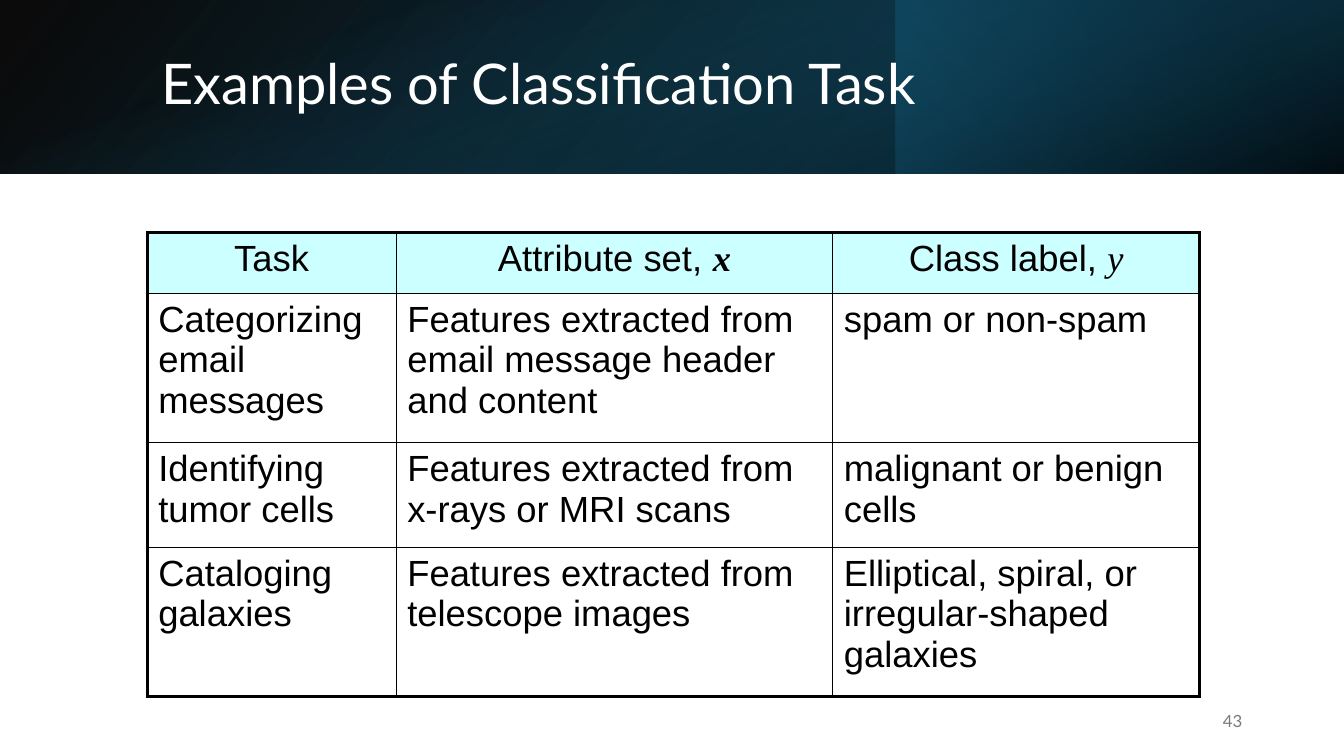
"""Build the slide on examples of classification tasks."""
from lxml import etree
from pptx import Presentation, util as u
from pptx.dml.color import RGBColor
from pptx.enum import shapes, text
from pptx.oxml import ns

WIDE, HIGH = 13.33, 7.5
BAND = 1.72
HUES = {"white": "FFFFFF", "black": "000000", "head": "CCFFFF", "grey": "797979",
        "navy": "104862", "teal": "156082", "deep": "0B3041"}
TITLE = "Examples of Classification Task"
PAGE = "43"
SANS, SERIF = "Arial", "Times New Roman"
HEADS = [
    [("Task", SANS, False, False)],
    [("Attribute set, ", SANS, False, False), ("x", SERIF, True, True)],
    [("Class label, ", SANS, False, False), ("y", SERIF, False, True)],
]
TASKS = [
    ("Categorizing email messages",
     "Features extracted from email message header and content", "spam or non-spam"),
    ("Identifying tumor cells",
     "Features extracted from x-rays or MRI scans", "malignant or benign cells"),
    ("Cataloging galaxies",
     "Features extracted from telescope images",
     "Elliptical, spiral, or irregular-shaped galaxies"),
]
COLS = [2.47, 4.33, 3.64]
ROWS = [0.6, 1.48, 1.04, 1.48]
MID = (WIDE - BAND) / 2
LAYERS = [
    ((0, 0, WIDE, BAND), 0, True, 140, [(0, "black", 96), (100, "navy", 100)]),
    ((WIDE * 2 / 3, 0, WIDE / 3, BAND), 180, False, 320,
     [(19, "deep", 68), (100, "teal", 79)]),
    ((MID, -MID, BAND, WIDE), 90, False, 340, [(23, "teal", 0), (99, "black", 74)]),
]


def tint(hue):
    return RGBColor.from_string(HUES[hue])


def inches(box):
    return [u.Inches(n) for n in box]


def add_run(para, words, face, size, hue, bold=False, slant=False):
    run = para.add_run()
    run.text = words
    font = run.font
    font.name, font.size, font.bold, font.italic = face, u.Pt(size), bold, slant
    font.color.rgb = tint(hue)


def add_layer(slide, box, turn, flip, angle, stops):
    layer = slide.shapes.add_shape(shapes.MSO_SHAPE.RECTANGLE, *inches(box))
    layer.shadow.inherit = False
    layer.line.fill.background()
    layer.rotation = turn
    props = layer._element.spPr
    if flip:
        props.find(ns.qn("a:xfrm")).set("flipH", "1")
    layer.fill.gradient()
    layer.fill.gradient_angle = 360 - angle
    for stop, (place, hue, _) in zip(layer.fill.gradient_stops, stops):
        stop.position = place / 100
        stop.color.rgb = tint(hue)
    for mark, (_, _, solid) in zip(props.iter(ns.qn("a:srgbClr")), stops):
        etree.SubElement(mark, ns.qn("a:alpha")).set("val", str(solid * 1000))


def add_label(slide, box, words, size, hue, align):
    frame = slide.shapes.add_textbox(*inches(box)).text_frame
    frame.word_wrap = True
    frame.vertical_anchor = text.MSO_ANCHOR.MIDDLE
    para = frame.paragraphs[0]
    para.alignment = align
    add_run(para, words, "Lato", size, hue)
    return para


def add_edges(cell, outer):
    props = cell._tc.get_or_add_tcPr()
    for side in "LRTB":
        line = etree.SubElement(props, ns.qn("a:ln" + side))
        line.set("w", str(u.Pt(2.25 if side in outer else 1)))
        fill = etree.SubElement(line, ns.qn("a:solidFill"))
        etree.SubElement(fill, ns.qn("a:srgbClr")).set("val", HUES["black"])


def add_grid(slide):
    box = (1.46, 2.31, sum(COLS), sum(ROWS))
    grid = slide.shapes.add_table(len(ROWS), len(COLS), *inches(box)).table
    grid.first_row = grid.horz_banding = False
    for col, wide in zip(grid.columns, COLS):
        col.width = u.Inches(wide)
    for row, high in zip(grid.rows, ROWS):
        row.height = u.Inches(high)
    body = [[[(words, SANS, False, False)] for words in task] for task in TASKS]
    for r, line in enumerate([HEADS] + body):
        for c, runs in enumerate(line):
            cell = grid.cell(r, c)
            cell.margin_left = cell.margin_right = u.Inches(0.11)
            cell.margin_top = cell.margin_bottom = u.Inches(0.06)
            ends = {"L": c == 0, "R": c == len(COLS) - 1,
                    "T": r == 0, "B": r == len(ROWS) - 1}
            add_edges(cell, [side for side in ends if ends[side]])
            if r == 0:
                cell.fill.solid()
                cell.fill.fore_color.rgb = tint("head")
            else:
                cell.fill.background()
            para = cell.text_frame.paragraphs[0]
            para.alignment = text.PP_ALIGN.LEFT if r else text.PP_ALIGN.CENTER
            para.space_after = u.Pt(4)
            for words, face, bold, slant in runs:
                add_run(para, words, face, 26, "black", bold, slant)


def main():
    deck = Presentation()
    deck.slide_width, deck.slide_height = inches((WIDE, HIGH))
    slide = deck.slides.add_slide(deck.slide_layouts[6])
    slide.background.fill.solid()
    slide.background.fill.fore_color.rgb = tint("white")
    for layer in LAYERS:
        add_layer(slide, *layer)
    title = add_label(slide, (1.5, 0.38, 10.98, 0.96), TITLE, 40, "white",
                      text.PP_ALIGN.LEFT)
    title.line_spacing = 0.9
    add_grid(slide)
    add_label(slide, (9.42, 6.95, 3, 0.4), PAGE, 12, "grey", text.PP_ALIGN.RIGHT)
    deck.save("out.pptx")


if __name__ == "__main__":
    main()
